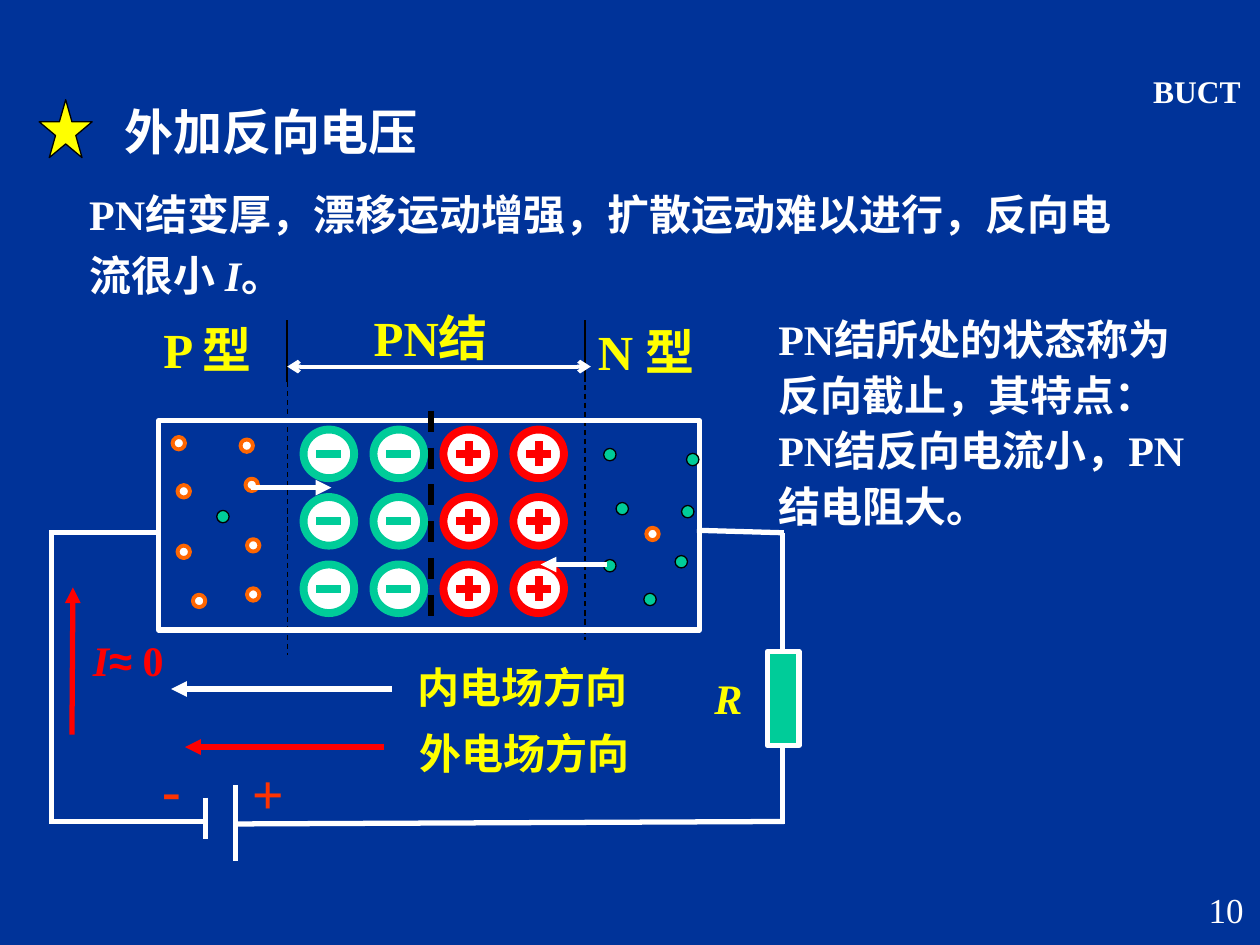
from pptx import Presentation
from pptx import util as u
from pptx.dml.color import RGBColor
from pptx.enum import dml, shapes, text
from pptx.oxml.ns import qn
from lxml import etree

WHITE, BLACK, RED = "FFFFFF", "000000", "FF0000"
YELLOW, GREEN, ORANGE = "FFFF00", "00CC99", "FF6600"
FONT = "Times New Roman"
LEFT, MID, RIGHT = text.PP_ALIGN.LEFT, text.PP_ALIGN.CENTER, text.PP_ALIGN.RIGHT
KIND = shapes.MSO_SHAPE


def paint(part, color):
    """Give a fill, or the fill of a line, one solid colour."""
    part.solid()
    part.fore_color.rgb = RGBColor.from_string(color)


def label(slide, box, lines, size=24, color=WHITE, bold=True, align=MID,
          middle=True, wrap=True, grow=True, space=None, inset=0.25):
    """Lines are strings, or lists of (text, italic, font) runs."""
    frame = slide.shapes.add_textbox(*map(u.Cm, box)).text_frame
    frame.word_wrap = wrap
    frame.auto_size = (text.MSO_AUTO_SIZE.SHAPE_TO_FIT_TEXT if grow
                       else text.MSO_AUTO_SIZE.NONE)
    frame.vertical_anchor = text.MSO_ANCHOR.MIDDLE if middle else text.MSO_ANCHOR.TOP
    frame.margin_left = frame.margin_right = u.Cm(inset)
    frame.margin_top = frame.margin_bottom = u.Cm(inset / 2)
    for i, line in enumerate(lines):
        para = frame.paragraphs[0] if i == 0 else frame.add_paragraph()
        para.alignment = align
        para.line_spacing = space
        for words, slant, face in [(line, False, FONT)] if isinstance(line, str) else line:
            run = para.add_run()
            run.text = words
            run.font.name, run.font.size = face, u.Pt(size)
            run.font.bold, run.font.italic = bold, slant
            run.font.color.rgb = RGBColor.from_string(color)


def form(slide, kind, box, fill=None, edge=BLACK, width=0.75):
    shape = slide.shapes.add_shape(kind, *map(u.Cm, box))
    shape.shadow.inherit = False
    if fill:
        paint(shape.fill, fill)
    else:
        shape.fill.background()
    paint(shape.line.fill, edge)
    shape.line.width = u.Pt(width)


def line(slide, ends, color=WHITE, width=3, dash=False, head=None, tail=None):
    link = slide.shapes.add_connector(shapes.MSO_CONNECTOR.STRAIGHT, *map(u.Cm, ends))
    paint(link.line.fill, color)
    link.line.width = u.Pt(width)
    if dash:
        link.line.dash_style = dml.MSO_LINE.DASH
    pen = link.line._get_or_add_ln()
    for tag, tip in (("a:headEnd", head), ("a:tailEnd", tail)):
        if tip:
            etree.SubElement(pen, qn(tag), type=tip)
    etree.SubElement(link._element.spPr, qn("a:effectLst"))


def ion(slide, x, y, color, plus):
    """A ringed ion with a minus or plus sign inside."""
    wide, high, arm = 1.02, 0.98, 0.25
    form(slide, KIND.OVAL, (x, y, wide, high), WHITE, color, 4.5)
    cx, cy = x + wide / 2, y + high / 2
    line(slide, (cx - arm, cy, cx + arm, cy), color, 4.5)
    if plus:
        line(slide, (cx, cy - arm, cx, cy + arm), color, 4.5)


def dots(slide, spots, fill, edge, width):
    for x, y in spots:
        form(slide, KIND.OVAL, (x, y, 0.25, 0.25), fill, edge, width)


def header(slide):
    label(slide, (23.04, 1.45, 2.18, 0.76), ["BUCT"], size=18, inset=0)
    form(slide, KIND.STAR_5_POINT, (0.79, 2.01, 1.07, 1.17), YELLOW)
    label(slide, (2.01, 1.91, 6.91, 1.45), ["外加反向电压"], size=28)
    label(slide, (1.55, 3.48, 21.82, 2.69),
          [[("PN结变厚，漂移运动增强，扩散运动难以进行，反向电流很小 ", False, FONT),
            ("I", True, FONT), ("。", False, FONT)]],
          align=LEFT, middle=False, space=1.2)
    label(slide, (15.44, 6.1, 9.09, 4.72),
          ["PN结所处的状态称为", "反向截止，其特点：", "PN结反向电流小，PN", "结电阻大。"],
          align=LEFT, middle=False, wrap=False, space=1.1)


def circuit(slide):
    # Wires, then the two battery plates
    for ends in ((15.77, 16.61, 15.77, 10.74), (15.8, 10.74, 14.05, 10.69),
                 (3.15, 10.74, 1.04, 10.74), (1.04, 10.69, 1.04, 16.61),
                 (1.04, 16.56, 4.17, 16.56), (4.72, 16.61, 15.8, 16.56),
                 (4.75, 15.82, 4.75, 17.35), (4.14, 16.08, 4.14, 16.92)):
        line(slide, ends)
    form(slide, KIND.RECTANGLE, (15.47, 13.13, 0.64, 1.9), GREEN, WHITE, 3)
    label(slide, (14.15, 13.44, 1.07, 1.27), [[("R", True, FONT)]],
          color=YELLOW, wrap=False)
    for sign, x, y in (("+", 4.83, 15.16), ("-", 3.02, 15.09)):
        label(slide, (x, y, 1.7, 1.63), [sign], size=32, color="FF3300",
              align=LEFT, middle=False)
    # Current
    line(slide, (1.45, 14.81, 1.47, 11.84), RED, tail="triangle")
    label(slide, (1.52, 12.67, 2.13, 1.27),
          [[("I", True, FONT), ("≈", False, "Arial"), (" 0", False, FONT)]],
          color=RED, wrap=False)
    # Field directions
    line(slide, (7.9, 13.89, 3.45, 13.89), tail="triangle")
    label(slide, (8.05, 13.21, 4.98, 1.27), ["内电场方向"], color=YELLOW)
    line(slide, (7.75, 15.06, 3.73, 15.06), RED, tail="triangle")
    label(slide, (7.9, 14.53, 5.33, 1.27), ["外电场方向"], color=YELLOW)


def zone(slide):
    """Limits and names of the regions."""
    for x, top, end in ((5.79, 7.7, 13.21), (11.79, 7.39, 12.9)):
        line(slide, (x, top, x, end), BLACK, 0.75, dash=True)
        line(slide, (x, 7.7, x, 6.45), BLACK, 1)
    line(slide, (5.79, 7.39, 11.91, 7.39), width=2.25, head="arrow", tail="arrow")
    for name, x, y, wide in (("P 型", 2.9, 6.3, 2.57), ("N 型", 11.68, 6.35, 2.69),
                             ("PN结", 7.16, 6.07, 3.05)):
        label(slide, (x, y, wide, 1.45), [name], size=28, color=YELLOW, wrap=False)


def crystal(slide):
    # Ions: two negative columns, two positive
    for col in range(4):
        plus = col > 1
        for row in range(3):
            ion(slide, 6.12 + 1.41 * col, 8.66 + 1.36 * row, RED if plus else GREEN, plus)
    form(slide, KIND.RECTANGLE, (3.2, 8.48, 10.9, 4.22), edge=WHITE, width=3)
    line(slide, (8.69, 8.28, 8.69, 12.73), BLACK, dash=True)
    # Holes and electrons
    dots(slide, ((3.58, 9.78), (3.58, 11), (4.98, 10.87), (4.98, 11.86), (4.95, 9.65),
                 (4.85, 8.86), (3.48, 8.81), (3.89, 11.99), (13.03, 10.64)),
         WHITE, ORANGE, 2.25)
    dots(slide, ((13.84, 9.14), (13.74, 10.19), (12.42, 10.13), (13.61, 11.2),
                 (12.17, 11.28), (12.98, 11.96), (12.17, 9.04), (4.37, 10.29)),
         GREEN, BLACK, 0.75)
    # Drift of the carriers
    line(slide, (5.05, 9.83, 6.68, 9.83), tail="triangle")
    line(slide, (12.24, 11.38, 10.9, 11.38), tail="triangle")


def main():
    deck = Presentation()
    deck.slide_width, deck.slide_height = u.Cm(25.4), u.Cm(19.05)
    slide = deck.slides.add_slide(deck.slide_layouts[6])
    paint(slide.background.fill, "003399")
    header(slide)
    circuit(slide)
    zone(slide)
    crystal(slide)
    # Page number
    label(slide, (20.04, 17.78, 5.28, 1.27), ["10"], size=20, bold=False,
          align=RIGHT, middle=False, grow=False)
    deck.save("out.pptx")


if __name__ == "__main__":
    main()
